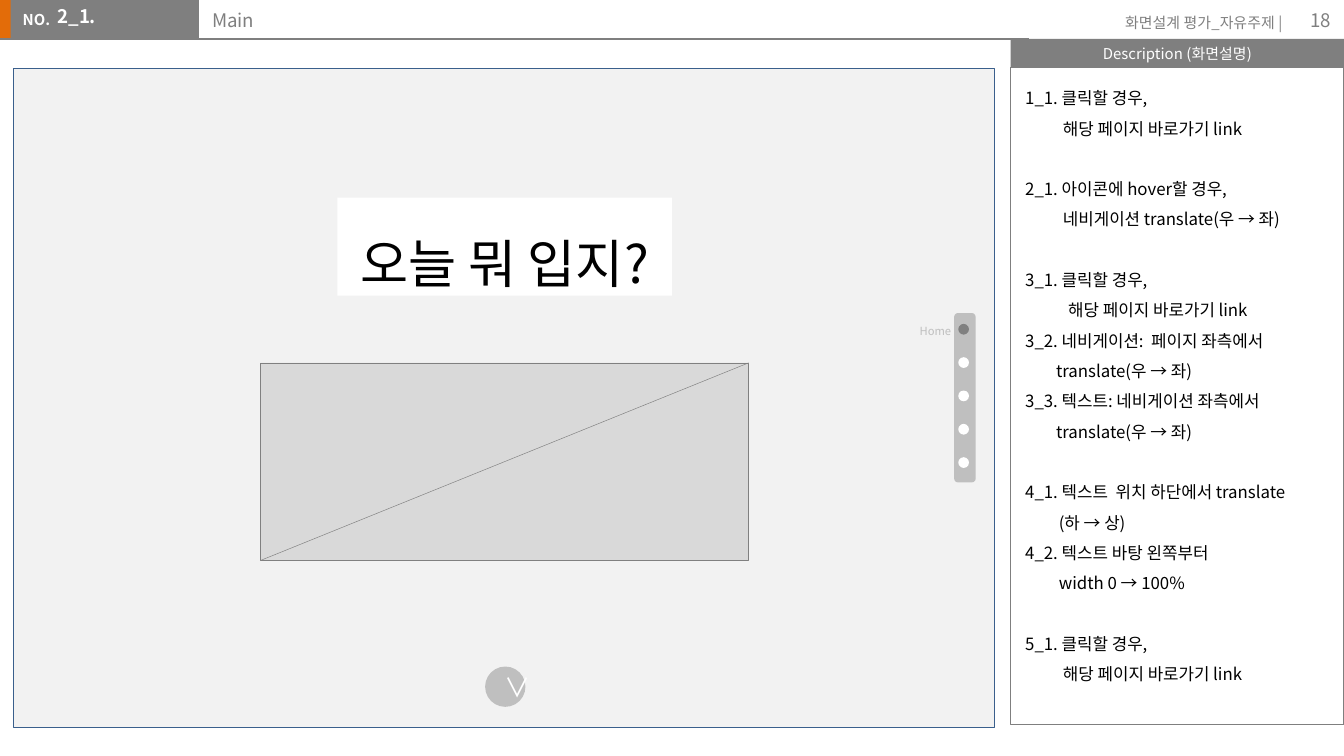
"""Build the Main wireframe slide with its description panel."""
from dataclasses import dataclass

from lxml import etree
from pptx import Presentation
from pptx import util as u
from pptx.dml.color import RGBColor
from pptx.enum import shapes, text
from pptx.oxml.ns import qn

DESCRIPTION = [
    [("1_1. 클릭할 경우,", 0), ("해당 페이지 바로가기 link", 0.28)],
    [("2_1. 아이콘에 hover할 경우,", 0), ("네비게이션 translate(우 → 좌)", 0.28)],
    [("3_1. 클릭할 경우,", 0), ("해당 페이지 바로가기 link", 0.32),
     ("3_2. 네비게이션:  페이지 좌측에서", 0), ("translate(우 → 좌)", 0.23),
     ("3_3. 텍스트: 네비게이션 좌측에서", 0), ("translate(우 → 좌)", 0.23)],
    [("4_1. 텍스트  위치 하단에서 translate", 0), ("(하 → 상)", 0.25),
     ("4_2. 텍스트 바탕 왼쪽부터", 0), ("width 0 → 100%", 0.25)],
    [("5_1. 클릭할 경우,", 0), ("해당 페이지 바로가기 link", 0.28)],
]
NAVIGATION_DOTS = 5


@dataclass(frozen=True)
class Theme:
    font: str = "Noto Sans CJK KR"
    accent: str = "E36C09"
    bar: str = "7F7F7F"
    outline: str = "808080"
    frame: str = "3A5F8C"
    canvas: str = "F2F2F2"
    image: str = "D9D9D9"
    control: str = "BFBFBF"
    white: str = "FFFFFF"
    black: str = "000000"
    tiny: int = 6
    small: int = 8
    body: int = 9
    heading: int = 10
    icon: int = 14
    hero: int = 28
    thin: float = 0.25
    rule: float = 0.75


theme = Theme()
RECTANGLE = shapes.MSO_SHAPE.RECTANGLE
OVAL = shapes.MSO_SHAPE.OVAL
LEFT, CENTER, RIGHT = text.PP_ALIGN.LEFT, text.PP_ALIGN.CENTER, text.PP_ALIGN.RIGHT
TOP, MIDDLE = text.MSO_ANCHOR.TOP, text.MSO_ANCHOR.MIDDLE

presentation = Presentation()
presentation.slide_width = u.Inches(10)
presentation.slide_height = presentation.slide_width * 9 // 16
slide = presentation.slides.add_slide(presentation.slide_layouts[6])


def add_box(kind, box, fill=None, line=None, width=theme.thin):
    shape = slide.shapes.add_shape(kind, *map(u.Inches, box))
    shape.shadow.inherit = False
    if fill:
        shape.fill.solid()
        shape.fill.fore_color.rgb = RGBColor.from_string(fill)
    else:
        shape.fill.background()
    if line:
        shape.line.color.rgb = RGBColor.from_string(line)
        shape.line.width = u.Pt(width)
    else:
        shape.line.fill.background()
    return shape


def add_line(start, end, color, width):
    line = slide.shapes.add_connector(
        shapes.MSO_CONNECTOR.STRAIGHT, *map(u.Inches, start + end))
    line.line.color.rgb = RGBColor.from_string(color)
    line.line.width = u.Pt(width)
    etree.SubElement(line._element.spPr, qn("a:effectLst"))


def style_paragraph(paragraph, size, color, align=LEFT, bold=False, spacing=None):
    paragraph.alignment = align
    if spacing:
        paragraph.line_spacing = spacing
    for run in paragraph.runs:
        run.font.name = theme.font
        run.font.size = u.Pt(size)
        run.font.bold = bold
        run.font.color.rgb = RGBColor.from_string(color)
        east_asian = etree.SubElement(run._r.get_or_add_rPr(), qn("a:ea"))
        east_asian.set("typeface", theme.font)


def write(shape, words, size, color, align=LEFT, anchor=MIDDLE, bold=False,
          spacing=None, wrap=True):
    frame = shape.text_frame
    frame.word_wrap = wrap
    frame.vertical_anchor = anchor
    frame.text = words
    style_paragraph(frame.paragraphs[0], size, color, align, bold, spacing)


def add_text(box, *words, **options):
    shape = slide.shapes.add_textbox(*map(u.Inches, box))
    write(shape, *words, **options)


def add_header():
    add_box(RECTANGLE, (-0.01, 0, 0.12, 0.29), theme.accent)
    add_box(RECTANGLE, (0.08, 0, 1.4, 0.29), theme.bar)
    add_text((0.07, 0.03, 0.41, 0.24), "NO.", theme.small, theme.white,
             anchor=TOP, bold=True, wrap=False)
    add_text((0.33, -0.01, 0.86, 0.31), "2_1.", theme.heading, theme.white,
             anchor=TOP, bold=True)
    add_line((0, 0.29), (7.66, 0.29), theme.bar, theme.rule)
    add_text((1.48, 0.02, 6.14, 0.32), "Main", theme.heading, theme.bar, anchor=TOP)
    add_text((8, 0.05, 1.64, 0.24), "화면설계 평가_자유주제 |", theme.small, theme.bar,
             align=RIGHT, anchor=TOP)
    add_text((9.4, 0, 0.6, 0.3), "18", theme.heading, theme.bar, align=RIGHT)


def add_description():
    title = add_box(RECTANGLE, (7.52, 0.29, 2.48, 0.21), theme.bar)
    write(title, "Description (화면설명)", theme.small, theme.white, CENTER)
    title.text_frame.margin_top = title.text_frame.margin_bottom = u.Inches(0.04)
    add_box(RECTANGLE, (7.52, 0.5, 2.48, 4.89), line=theme.bar, width=theme.rule)
    panel = slide.shapes.add_textbox(*map(u.Inches, (7.53, 0.53, 2.47, 4.87)))
    frame = panel.text_frame
    frame.word_wrap = True
    lines = [(words, indent, group > 0 and row == 0)
             for group, rows in enumerate(DESCRIPTION)
             for row, (words, indent) in enumerate(rows)]
    for index, (words, indent, opens_group) in enumerate(lines):
        paragraph = frame.add_paragraph() if index else frame.paragraphs[0]
        paragraph.text = words
        style_paragraph(paragraph, theme.body, theme.black, spacing=1.5)
        if opens_group:
            paragraph.space_before = u.Pt(16.25)
        paragraph._p.get_or_add_pPr().set("marL", str(u.Inches(indent)))


def add_wireframe():
    add_box(RECTANGLE, (0.1, 0.51, 7.3, 4.9), theme.canvas, theme.frame)
    scroll = add_box(OVAL, (3.61, 4.96, 0.3, 0.3), theme.control)
    write(scroll, "∨", theme.icon, theme.white, CENTER)
    navigation = add_box(shapes.MSO_SHAPE.ROUNDED_RECTANGLE,
                         (7.1, 2.33, 0.16, 1.26), theme.control)
    navigation.adjustments[0] = 0.17
    for index in range(NAVIGATION_DOTS):
        add_box(OVAL, (7.13, 2.41 + index * 0.248, 0.08, 0.08),
                theme.white if index else theme.outline)
    add_text((6.74, 2.32, 0.44, 0.23), "Home", theme.tiny, theme.control,
             align=CENTER, spacing=1.5, wrap=False)
    hero = add_box(RECTANGLE, (2.51, 1.47, 2.49, 0.73), theme.white)
    write(hero, "오늘 뭐 입지?", theme.hero, theme.black, CENTER, spacing=1.5, wrap=False)
    left, top, width, height = image = (1.94, 2.7, 3.63, 1.47)
    add_box(RECTANGLE, image, theme.image, theme.outline)
    add_line((left + width, top), (left, top + height), theme.outline, theme.thin)


add_header()
add_description()
add_wireframe()
presentation.save("out.pptx")
